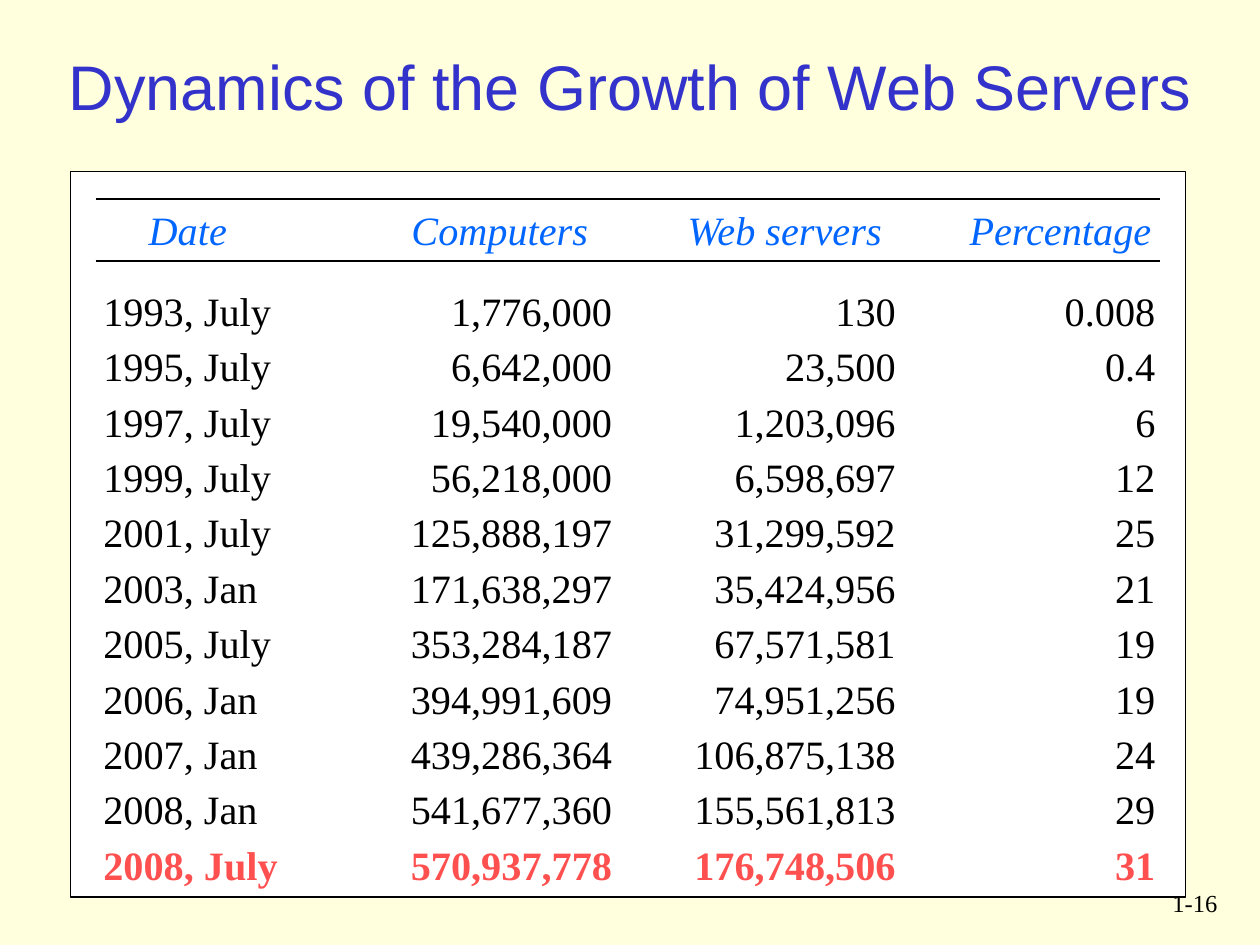
from pptx import Presentation
from pptx.dml.color import RGBColor
from pptx.enum.shapes import MSO_CONNECTOR, MSO_SHAPE
from pptx.enum.text import MSO_ANCHOR, PP_ALIGN
from pptx.oxml.ns import qn
from pptx.util import Inches, Pt

LEFT, CENTER, RIGHT = PP_ALIGN.LEFT, PP_ALIGN.CENTER, PP_ALIGN.RIGHT
TOP, BOTTOM = MSO_ANCHOR.TOP, MSO_ANCHOR.BOTTOM
RECT, STRAIGHT = MSO_SHAPE.RECTANGLE, MSO_CONNECTOR.STRAIGHT

CREAM = RGBColor(0xFF, 0xFF, 0xDD)
WHITE = RGBColor(0xFF, 0xFF, 0xFF)
BLACK = RGBColor(0, 0, 0)
NAVY = RGBColor(0x33, 0x33, 0xCC)
BLUE = RGBColor(0x00, 0x66, 0xFF)
RED = RGBColor(0xFF, 0x50, 0x50)

# Heading, side it is set from, inset from that side
HEADS = [
    ("Date", LEFT, 0.42),
    ("Computers", RIGHT, 0.23),
    ("Web servers", RIGHT, 0.15),
    ("Percentage", RIGHT, 0.07),
]
ROWS = [
    ("1993, July", "1,776,000", "130", "0.008"),
    ("1995, July", "6,642,000", "23,500", "0.4"),
    ("1997, July", "19,540,000", "1,203,096", "6"),
    ("1999, July", "56,218,000", "6,598,697", "12"),
    ("2001, July", "125,888,197", "31,299,592", "25"),
    ("2003, Jan", "171,638,297", "35,424,956", "21"),
    ("2005, July", "353,284,187", "67,571,581", "19"),
    ("2006, Jan", "394,991,609", "74,951,256", "19"),
    ("2007, Jan", "439,286,364", "106,875,138", "24"),
    ("2008, Jan", "541,677,360", "155,561,813", "29"),
    ("2008, July", "570,937,778", "176,748,506", "31"),
]
WIDTHS = [2.0, 2.14, 2.25, 2.06]
HEIGHTS = [0.49, 0.62] + [0.44] * (len(ROWS) - 1)
X, Y, WIDE = 0.76, 1.58, sum(WIDTHS)


def write(frame, text, font="Times New Roman", size=23, color=BLACK,
          align=LEFT, bold=False, italic=False):
    para = frame.paragraphs[0]
    para.alignment = align
    run = para.add_run()
    run.text = text
    run.font.name = font
    run.font.size = Pt(size)
    run.font.color.rgb = color
    run.font.bold = bold
    run.font.italic = italic


def add_box(left, top, width, height, anchor, text, **style):
    box = slide.shapes.add_textbox(
        Inches(left), Inches(top), Inches(width), Inches(height))
    box.text_frame.word_wrap = True
    box.text_frame.vertical_anchor = anchor
    write(box.text_frame, text, **style)


deck = Presentation()
deck.slide_width, deck.slide_height = Inches(10), Inches(7.5)
slide = deck.slides.add_slide(deck.slide_layouts[6])
slide.background.fill.solid()
slide.background.fill.fore_color.rgb = CREAM

add_box(9.08, 7, 0.68, 0.5, TOP, "1-16", size=14, align=RIGHT)
add_box(0, 0, 10, 1.03, BOTTOM, "Dynamics of the Growth of Web Servers",
        font="Arial", size=36, color=NAVY, align=CENTER)

panel = slide.shapes.add_shape(
    RECT, Inches(0.56), Inches(1.36), Inches(8.85), Inches(5.76))
panel.shadow.inherit = False
panel.fill.solid()
panel.fill.fore_color.rgb = WHITE
panel.line.color.rgb = BLACK
panel.line.width = Pt(0.75)

table = slide.shapes.add_table(
    len(HEIGHTS), len(WIDTHS), Inches(X), Inches(Y),
    Inches(WIDE), Inches(sum(HEIGHTS))).table
table.first_row = False
table.horz_banding = False
for col, width in zip(table.columns, WIDTHS):
    col.width = Inches(width)
for row, height in zip(table.rows, HEIGHTS):
    row.height = Inches(height)

for r in range(len(HEIGHTS)):
    for c, (head, align, inset) in enumerate(HEADS):
        cell = table.cell(r, c)
        cell.fill.solid()
        cell.fill.fore_color.rgb = WHITE
        cell.vertical_anchor = BOTTOM
        cell.margin_top = 0
        cell.margin_bottom = Inches(0.05 if r == 0 else 0.03)
        if r > 0:
            inset = 0.06 if align == LEFT else 0.04
        cell.margin_left = Inches(inset if align == LEFT else 0)
        cell.margin_right = Inches(inset if align == RIGHT else 0)
        if r == 0:
            write(cell.text_frame, head, color=BLUE, align=align, italic=True)
        else:
            last = r == len(ROWS)
            write(cell.text_frame, ROWS[r - 1][c], align=align,
                  color=RED if last else BLACK, bold=last)

for y in (Y, Y + HEIGHTS[0]):
    rule = slide.shapes.add_connector(
        STRAIGHT, Inches(X), Inches(y), Inches(X + WIDE), Inches(y))
    rule.line.color.rgb = BLACK
    rule.line.width = Pt(1)
    props = rule.element.spPr
    props.append(props.makeelement(qn("a:effectLst"), {}))

deck.save("out.pptx")
